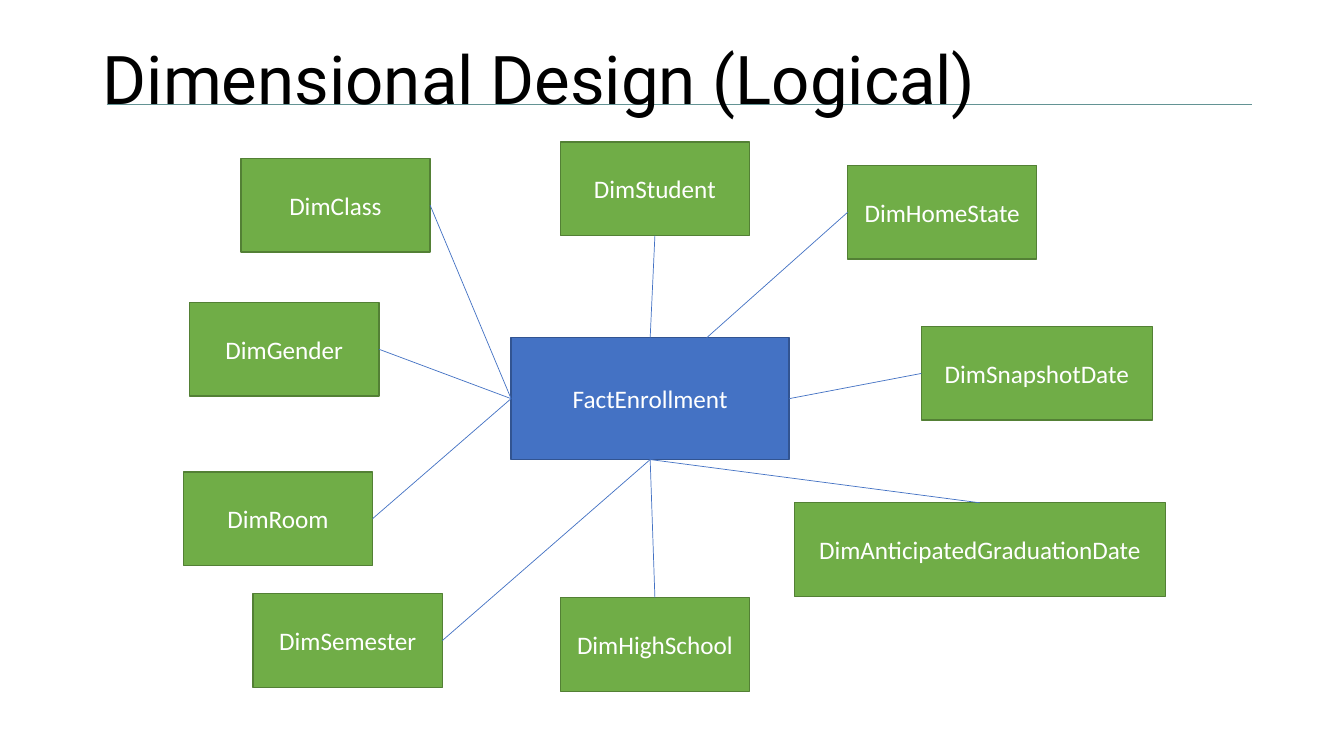
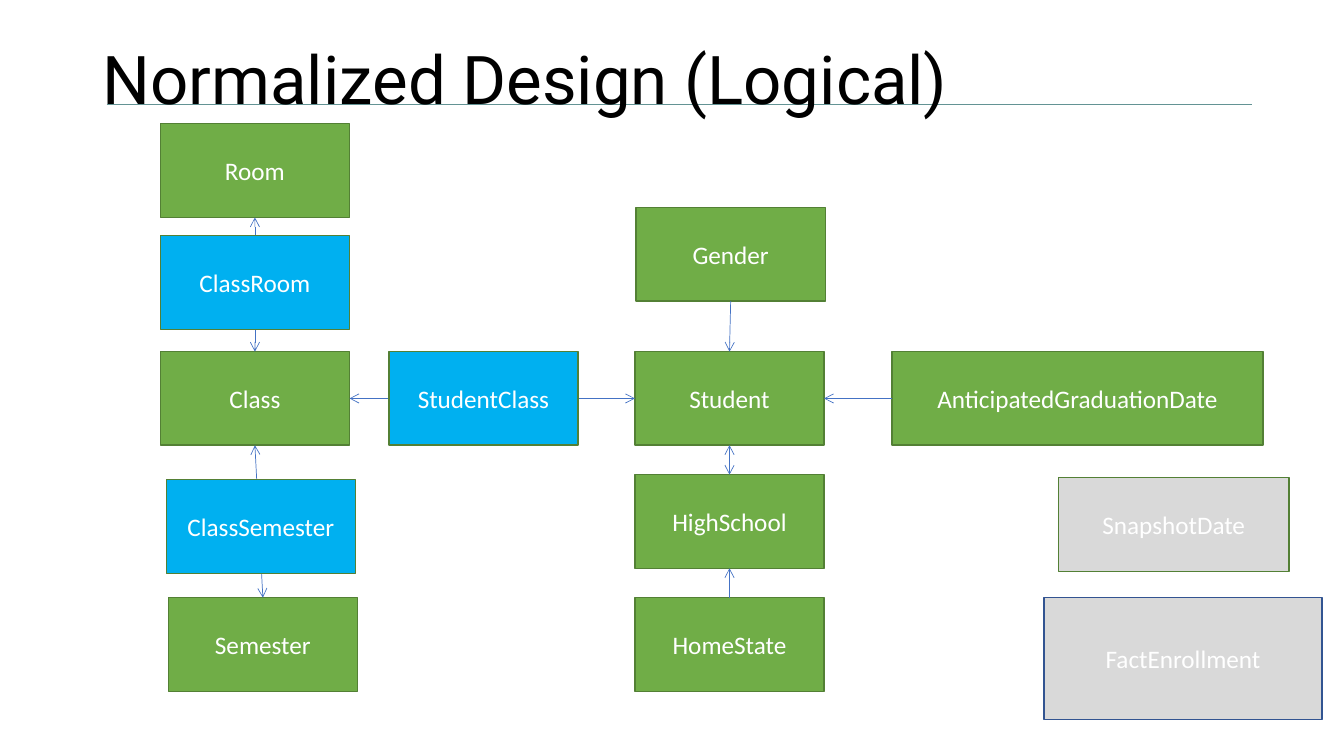
"""Build the dimensional and normalized logical designs of an enrollment database."""
from lxml.etree import SubElement
from pptx import Presentation
from pptx.dml.color import RGBColor
from pptx.enum.shapes import MSO_CONNECTOR, MSO_SHAPE
from pptx.enum.text import MSO_ANCHOR, PP_ALIGN
from pptx.oxml.ns import qn
from pptx.util import Cm, Pt

WHITE = RGBColor(0xFF, 0xFF, 0xFF)
BLACK = RGBColor(0x00, 0x00, 0x00)
TEAL = RGBColor(0x63, 0x93, 0x94)
GREEN = RGBColor(0x70, 0xAD, 0x47)
DARK_GREEN = RGBColor(0x53, 0x80, 0x35)
BLUE = RGBColor(0x44, 0x72, 0xC4)
DARK_BLUE = RGBColor(0x32, 0x54, 0x91)
SKY = RGBColor(0x00, 0xB0, 0xF0)
GREY = RGBColor(0xD9, 0xD9, 0xD9)

TOP, LEFT, BOTTOM, RIGHT = range(4)
NO_ARROWS = ()
ARROW = ("a:tailEnd",)
TWO_ARROWS = ("a:headEnd", "a:tailEnd")

STANDARD = (4.77, 2.36)
SNAPSHOT = (5.82, 2.36)
GRADUATION = (9.35, 2.36)
FACT = (7.01, 3.07)

CLASS_X, STUDENT_X = 4.04, 16
MIDDLE_Y, BOTTOM_Y = 8.86, 15.06

DESIGNS = [
    {
        "title": "Dimensional Design (Logical)",
        "entities": [
            ("FactEnrollment", 12.88, 8.51, FACT, BLUE, DARK_BLUE),
            ("DimStudent", 14.12, 3.58, STANDARD, GREEN, DARK_GREEN),
            ("DimClass", 6.07, 3.99, STANDARD, GREEN, DARK_GREEN),
            ("DimGender", 4.78, 7.62, STANDARD, GREEN, DARK_GREEN),
            ("DimHighSchool", 14.12, BOTTOM_Y, STANDARD, GREEN, DARK_GREEN),
            ("DimHomeState", 21.36, 4.17, STANDARD, GREEN, DARK_GREEN),
            ("DimSnapshotDate", 23.22, 8.23, SNAPSHOT, GREEN, DARK_GREEN),
            ("DimAnticipatedGraduationDate", 20.02, 12.67, GRADUATION, GREEN, DARK_GREEN),
            ("DimSemester", 6.38, 14.96, STANDARD, GREEN, DARK_GREEN),
            ("DimRoom", 4.62, 11.89, STANDARD, GREEN, DARK_GREEN),
        ],
        "links": [
            ("DimStudent", BOTTOM, "FactEnrollment", TOP, NO_ARROWS),
            ("DimClass", RIGHT, "FactEnrollment", LEFT, NO_ARROWS),
            ("DimGender", RIGHT, "FactEnrollment", LEFT, NO_ARROWS),
            ("DimRoom", RIGHT, "FactEnrollment", LEFT, NO_ARROWS),
            ("DimHighSchool", TOP, "FactEnrollment", BOTTOM, NO_ARROWS),
            ("DimSemester", RIGHT, "FactEnrollment", BOTTOM, NO_ARROWS),
            ("DimAnticipatedGraduationDate", TOP, "FactEnrollment", BOTTOM, NO_ARROWS),
            ("DimSnapshotDate", LEFT, "FactEnrollment", RIGHT, NO_ARROWS),
        ],
        "off_centre_links": [("DimHomeState", LEFT, 17.81, 8.51)],
        "bridges": [],
    },
    {
        "title": "Normalized Design (Logical)",
        "entities": [
            ("FactEnrollment", 26.31, BOTTOM_Y, FACT, GREY, DARK_BLUE),
            ("Student", STUDENT_X, MIDDLE_Y, STANDARD, GREEN, DARK_GREEN),
            ("Class", CLASS_X, MIDDLE_Y, STANDARD, GREEN, DARK_GREEN),
            ("Gender", 16.03, 5.23, STANDARD, GREEN, DARK_GREEN),
            ("HighSchool", STUDENT_X, 11.96, STANDARD, GREEN, DARK_GREEN),
            ("HomeState", STUDENT_X, BOTTOM_Y, STANDARD, GREEN, DARK_GREEN),
            ("SnapshotDate", 26.67, 12.04, SNAPSHOT, GREY, DARK_GREEN),
            ("AnticipatedGraduationDate", 22.48, MIDDLE_Y, GRADUATION, GREEN, DARK_GREEN),
            ("Semester", 4.24, BOTTOM_Y, STANDARD, GREEN, DARK_GREEN),
            ("Room", CLASS_X, 3.12, STANDARD, GREEN, DARK_GREEN),
        ],
        "links": [
            ("Student", LEFT, "Class", RIGHT, TWO_ARROWS),
            ("Gender", BOTTOM, "Student", TOP, ARROW),
            ("HomeState", TOP, "HighSchool", BOTTOM, ARROW),
            ("AnticipatedGraduationDate", LEFT, "Student", RIGHT, ARROW),
            ("HighSchool", TOP, "Student", BOTTOM, TWO_ARROWS),
            ("Class", BOTTOM, "Semester", TOP, TWO_ARROWS),
            ("Room", BOTTOM, "Class", TOP, TWO_ARROWS),
        ],
        "off_centre_links": [],
        "bridges": [
            ("StudentClass", 9.8, MIDDLE_Y, STANDARD, SKY, DARK_GREEN),
            ("ClassSemester", 4.19, 12.09, STANDARD, SKY, DARK_GREEN),
            ("ClassRoom", CLASS_X, 5.94, STANDARD, SKY, DARK_GREEN),
        ],
    },
]


def add_table_box(slide, name, left, top, size, fill, border):
    width, height = size
    box = slide.shapes.add_shape(
        MSO_SHAPE.RECTANGLE, Cm(left), Cm(top), Cm(width), Cm(height))
    box.shadow.inherit = False
    box.fill.solid()
    box.fill.fore_color.rgb = fill
    box.line.color.rgb = border
    box.line.width = Pt(1)
    box.text_frame.text = name
    box.text_frame.vertical_anchor = MSO_ANCHOR.MIDDLE
    paragraph = box.text_frame.paragraphs[0]
    paragraph.alignment = PP_ALIGN.CENTER
    paragraph.font.name = "Calibri"
    paragraph.font.size = Pt(18)
    paragraph.font.color.rgb = WHITE
    return box


def add_line(slide, color, width, x1=0, y1=0, x2=0, y2=0, arrows=NO_ARROWS):
    line = slide.shapes.add_connector(
        MSO_CONNECTOR.STRAIGHT, Cm(x1), Cm(y1), Cm(x2), Cm(y2))
    line.line.color.rgb = color
    line.line.width = Pt(width)
    outline = line.line._get_or_add_ln()
    for arrow_end in arrows:
        SubElement(outline, qn(arrow_end)).set("type", "arrow")
    SubElement(line._element.spPr, qn("a:effectLst"))
    return line


prs = Presentation()
prs.slide_width = Cm(33.87)
prs.slide_height = Cm(19.05)

for design in DESIGNS:
    slide = prs.slides.add_slide(prs.slide_layouts[6])
    add_line(slide, TEAL, 1, 2.69, 2.64, 31.55, 2.64)

    title = slide.shapes.add_textbox(Cm(2.34), Cm(1.02), Cm(29.21), Cm(2.11))
    title.text_frame.word_wrap = True
    title.text_frame.vertical_anchor = MSO_ANCHOR.MIDDLE
    title.text_frame.text = design["title"]
    heading = title.text_frame.paragraphs[0]
    heading.line_spacing = 0.9
    heading.font.name = "Roboto"
    heading.font.size = Pt(48)
    heading.font.color.rgb = BLACK

    tables = {entity[0]: add_table_box(slide, *entity) for entity in design["entities"]}

    for start, start_side, end, end_side, arrows in design["links"]:
        link = add_line(slide, BLUE, 0.5, arrows=arrows)
        link.begin_connect(tables[start], start_side)
        link.end_connect(tables[end], end_side)

    for start, start_side, x, y in design["off_centre_links"]:
        link = add_line(slide, BLUE, 0.5, x2=x, y2=y)
        link.begin_connect(tables[start], start_side)

    for bridge in design["bridges"]:
        add_table_box(slide, *bridge)

prs.save("out.pptx")
